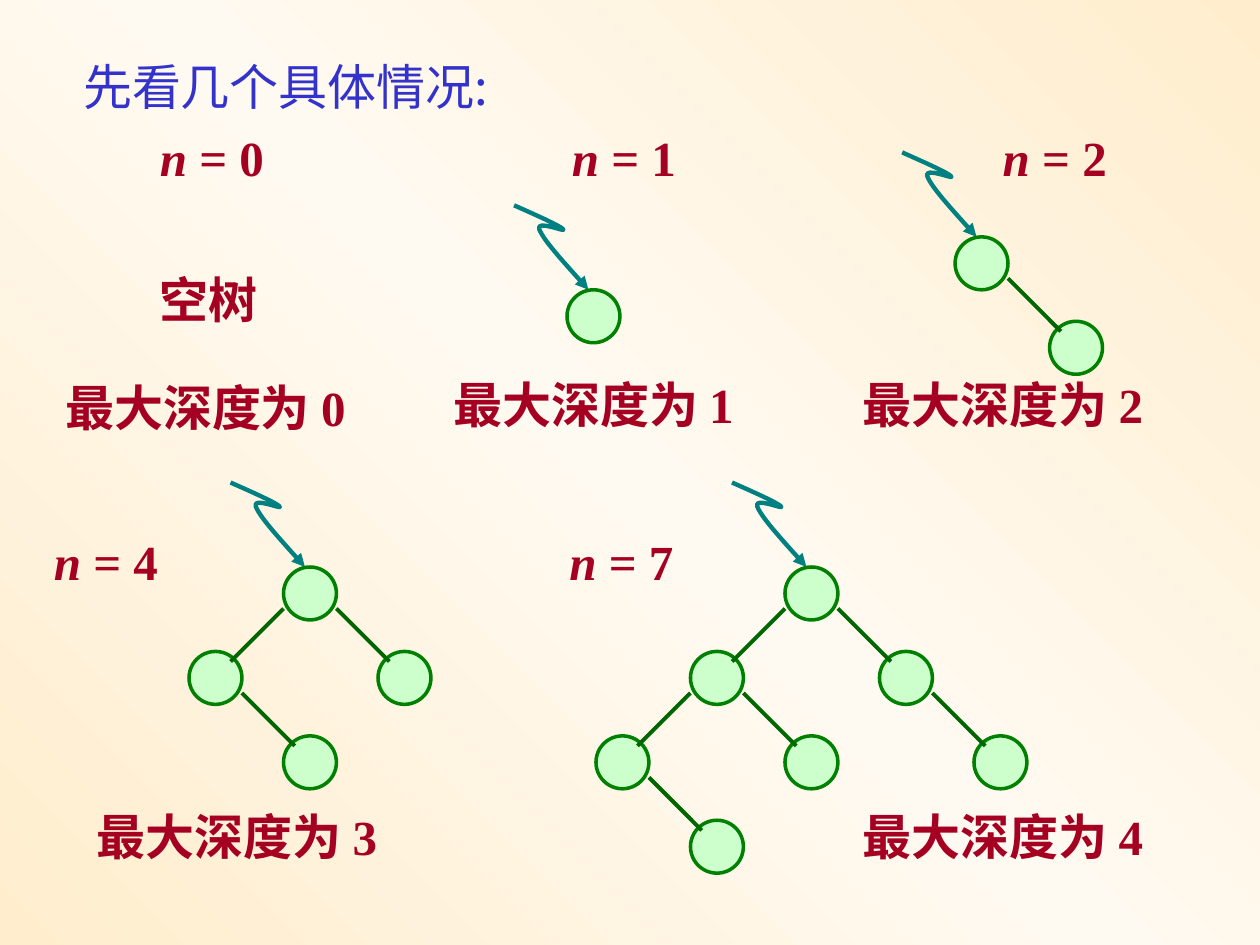
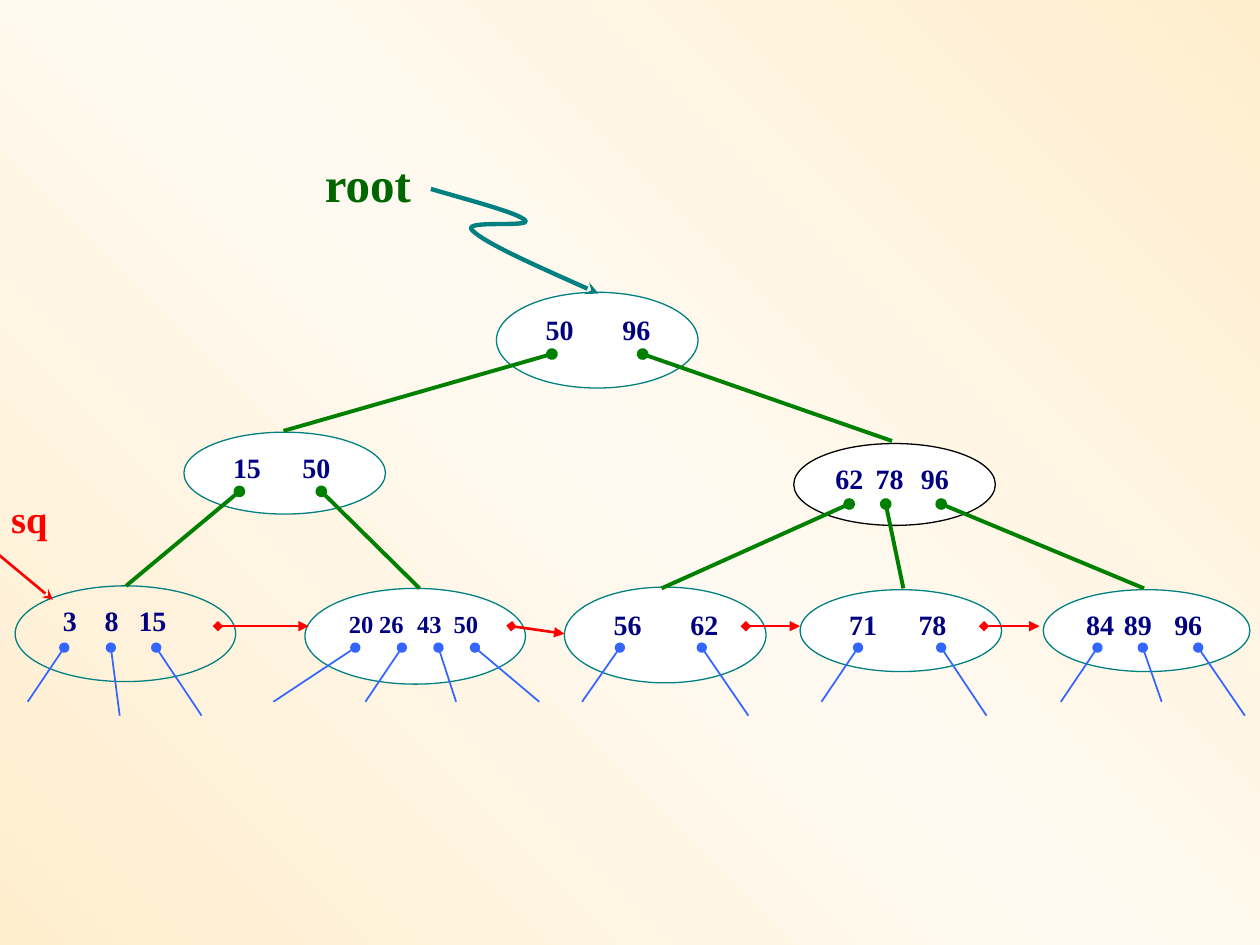
from copy import deepcopy
from dataclasses import dataclass

from lxml.etree import SubElement
from pptx import Presentation
from pptx.dml.color import RGBColor
from pptx.enum.shapes import MSO_CONNECTOR, MSO_SHAPE
from pptx.enum.text import MSO_ANCHOR, PP_ALIGN
from pptx.oxml.ns import qn
from pptx.util import Emu, Pt

LINE = MSO_CONNECTOR.STRAIGHT
OVAL = MSO_SHAPE.OVAL
TOP = MSO_ANCHOR.TOP
LEFT = PP_ALIGN.LEFT
PX = 9144  # 100 px to the inch


@dataclass(frozen=True)
class Theme:
    latin: str = "Times New Roman"
    asian: str = "Noto Sans CJK SC"
    edge: str = "FFEDCD"
    glow: str = "FFFAF1"
    title: str = "3333CC"
    note: str = "A50021"
    ball: str = "CCFFCC"
    green: str = "008000"
    dark: str = "006600"
    teal: str = "008080"
    key: str = "000080"
    blue: str = "3366FF"
    red: str = "FF0000"
    white: str = "FFFFFF"
    black: str = "000000"
    big: int = 28
    mid: int = 22
    small: int = 16
    tiny: int = 14


T = Theme()
HOOK = [(0, 0), (18, 8), (36, 16), (39, 19), (42, 22), (17, 11),
        (20, 19), (23, 27), (41, 47), (59, 67)]
SWING = [(0, 0), (34, 10), (69, 19), (75, 25), (80, 31), (23, 24),
         (33, 33), (43, 43), (88, 63), (133, 83)]

# Binary trees are (left, right) pairs.
LEAF = (None, None)
RIGHT = (None, LEAF)
FOUR = (RIGHT, LEAF)
SEVEN = ((RIGHT, LEAF), RIGHT)
BALL, STEP, DROP = 42, 75, 67

# n, depth, label corner, note corner, root corner, tree
CASES = [
    (0, 0, (117, 96), (42, 295), None, None),
    (1, 1, (444, 96), (350, 292), (450, 230), LEAF),
    (2, 2, (786, 96), (675, 292), (758, 188), RIGHT),
    (4, 3, (33, 417), (67, 635), (225, 450), FOUR),
    (7, 4, (442, 417), (675, 635), (623, 450), SEVEN),
]

# box, keys with their x, format changes
NODES = [
    ((394, 232, 160, 76), [("50", 433), ("96", 494)], {}),
    ((146, 343, 160, 65), [("15", 185), ("50", 240)], {}),
    ((630, 352, 160, 65), [("62", 663), ("78", 695), ("96", 731)],
     {"edge": T.black}),
    ((635, 468, 160, 65), [("71", 674), ("78", 729)], {}),
    ((828, 468, 164, 65), [("84", 862), ("89", 892), ("96", 932)], {}),
    ((448, 466, 160, 76), [("56", 487), ("62", 548)], {}),
    ((242, 467, 175, 76),
     [("20", 277), ("26", 301), ("43", 331), ("50", 360)], {"size": T.tiny}),
    ((12, 465, 175, 76), [("3", 50), ("8", 83), ("15", 110)],
     {"fill": None, "top": 3}),
]
LINKS = [
    (438, 281, 225, 342), (510, 281, 708, 350),
    (190, 390, 100, 465), (255, 390, 333, 467),
    (674, 400, 525, 467), (703, 400, 717, 467), (747, 400, 908, 467),
]
SHORT, LONG = 557, 568
# start x, end x, end y
DATA = [
    (51, 22, SHORT), (88, 95, LONG), (124, 160, LONG),
    (282, 217, SHORT), (319, 290, SHORT), (348, 362, SHORT), (377, 428, SHORT),
    (492, 462, SHORT), (557, 594, LONG),
    (681, 652, SHORT), (747, 783, LONG),
    (871, 842, SHORT), (907, 922, SHORT), (951, 988, LONG),
]
CHAIN = [(173, 245, 497), (406, 448, 503), (592, 635, 497), (781, 825, 497)]


def px(*vals):
    return [Emu(round(v * PX)) for v in vals]


def put(obj, vals):
    for name, val in vals.items():
        setattr(obj, name, val)


def rgb(code):
    return RGBColor.from_string(code)


def write(shape, runs, color, size, **form):
    """Fill a shape with one left-aligned paragraph of (text, italic) runs."""
    para = shape.text_frame.paragraphs[0]
    para.alignment = LEFT
    for text, slant in runs:
        run = para.add_run()
        run.text = text
        put(run.font, {"name": T.latin, "size": Pt(size), "bold": True,
                       "italic": slant, **form})
        run.font.color.rgb = rgb(color)
    for prop in shape.element.iter(qn("a:rPr")):
        SubElement(prop, qn("a:ea"), typeface=T.asian)


def label(slide, box, runs, color=T.note, size=T.big, wrap=True):
    shape = slide.shapes.add_textbox(*px(*box))
    shape.text_frame.word_wrap = wrap
    write(shape, runs, color, size)


def stroke(shape, color, width, head=None, tail=None):
    put(shape.line, {"width": Pt(width)})
    shape.line.color.rgb = rgb(color)
    ln = shape.element.spPr.find(qn("a:ln"))
    for tag, kind in (("a:headEnd", head), ("a:tailEnd", tail)):
        if kind:
            SubElement(ln, qn(tag), type=kind)


def link(slide, ends, color, width, **tips):
    line = slide.shapes.add_connector(LINE, *px(*ends))
    stroke(line, color, width, **tips)
    SubElement(line.element.spPr, qn("a:effectLst"))


def oval(slide, box, fill, color, width):
    shape = slide.shapes.add_shape(OVAL, *px(*box))
    shape.shadow.inherit = False
    if fill:
        shape.fill.solid()
        shape.fill.fore_color.rgb = rgb(fill)
    else:
        shape.fill.background()
    stroke(shape, color, width)
    return shape


def curve(slide, x, y, dots, tail):
    """Draw a chain of cubic curves; each takes three of the dots."""
    first, *rest = [(x + dx, y + dy) for dx, dy in dots]
    form = slide.shapes.build_freeform(*first, scale=PX)
    form.add_line_segments(rest, close=False)
    shape = form.convert_to_shape()
    legs = list(shape.element.iter(qn("a:lnTo")))
    for i in range(0, len(legs), 3):
        legs[i].tag = qn("a:cubicBezTo")
        for leg in legs[i + 1:i + 3]:
            legs[i].extend(list(leg))
            leg.getparent().remove(leg)
    shape.shadow.inherit = False
    shape.fill.background()
    stroke(shape, T.teal, 2.5, tail=tail)


def grow(slide, x, y, tree):
    """Draw a binary tree whose root ball has its corner at x, y."""
    oval(slide, (x, y, BALL, BALL), T.ball, T.green, 2)
    for side, kid in zip((-1, 1), tree):
        if kid:
            grow(slide, x + side * STEP, y + DROP, kid)
            start = x + (BALL if side > 0 else 0)
            link(slide, (start, y + 33, start + side * 42, y + 75),
                 T.dark, 2.25)


def case(slide, n, depth, tag, note, root, tree):
    label(slide, (*tag, 131, 57), [("n ", True), (f"= {n}", False)])
    label(slide, (*note, 290, 57), [(f"最大深度为 {depth}", False)])
    if tree:
        x, y = root
        curve(slide, x - 42, y - 67, HOOK, "triangle")
        grow(slide, x, y, tree)
    else:
        label(slide, (117, 209, 131, 57), [("空树", False)])


def node(slide, box, keys, fill=T.white, edge=T.teal, size=T.small, top=5):
    """Draw an index node; tab stops hold its keys in place."""
    shape = oval(slide, box, fill, edge, 0.75)
    x, _, w, _ = box
    start = keys[0][1]
    inset, lift = px(start - x - w * 0.1464, top)
    put(shape.text_frame, {"word_wrap": True, "vertical_anchor": TOP,
                           "margin_left": inset, "margin_right": 0,
                           "margin_top": lift})
    write(shape, [("\t".join(key for key, _ in keys), False)], T.key, size)
    prop = next(shape.element.iter(qn("a:pPr")))
    tabs = SubElement(prop, qn("a:tabLst"))
    for _, spot in keys[1:]:
        SubElement(tabs, qn("a:tab"), pos=str((spot - start) * PX), algn="l")


def backdrop(master):
    fill = master.background.fill
    fill.gradient()
    fill.gradient_angle = 45
    stops = next(master.element.iter(qn("a:gsLst")))
    stops.append(deepcopy(stops[-1]))
    for stop, spot, color in zip(fill.gradient_stops, (0, 0.5, 1),
                                 (T.edge, T.glow, T.edge)):
        stop.position = spot
        stop.color.rgb = rgb(color)


def depths(deck):
    slide = deck.slides.add_slide(deck.slide_layouts[5])
    title = slide.shapes.title
    put(title, dict(zip(("left", "top", "width", "height"),
                        px(56, 40, 351, 57))))
    put(title.text_frame, {"word_wrap": False, "vertical_anchor": TOP})
    write(title, [("先看几个具体情况:", False)], T.title, T.big,
          name=T.asian, bold=False)
    for row in CASES:
        case(slide, *row)


def index(deck):
    slide = deck.slides.add_slide(deck.slide_layouts[6])
    for box, keys, form in NODES:
        node(slide, box, keys, **form)
    for ends in LINKS:
        link(slide, ends, T.green, 2.25, head="oval")
    for start, end, low in DATA:
        link(slide, (start, 514, end, low), T.blue, 1, head="oval")
    for start, end, low in CHAIN:
        link(slide, (start, 497, end, low), T.red, 1.5,
             head="diamond", tail="triangle")
    link(slide, (-17, 427, 42, 476), T.red, 1.5, tail="stealth")
    label(slide, (-1, 388, 51, 54), [("sq", False)], T.red, T.mid)
    label(slide, (248, 117, 89, 57), [("root", False)], T.dark, wrap=False)
    curve(slide, 342, 150, SWING, "stealth")


def main():
    deck = Presentation()
    deck.slide_width, deck.slide_height = px(1000, 750)
    backdrop(deck.slide_master)
    depths(deck)
    index(deck)
    deck.save("out.pptx")


if __name__ == "__main__":
    main()
